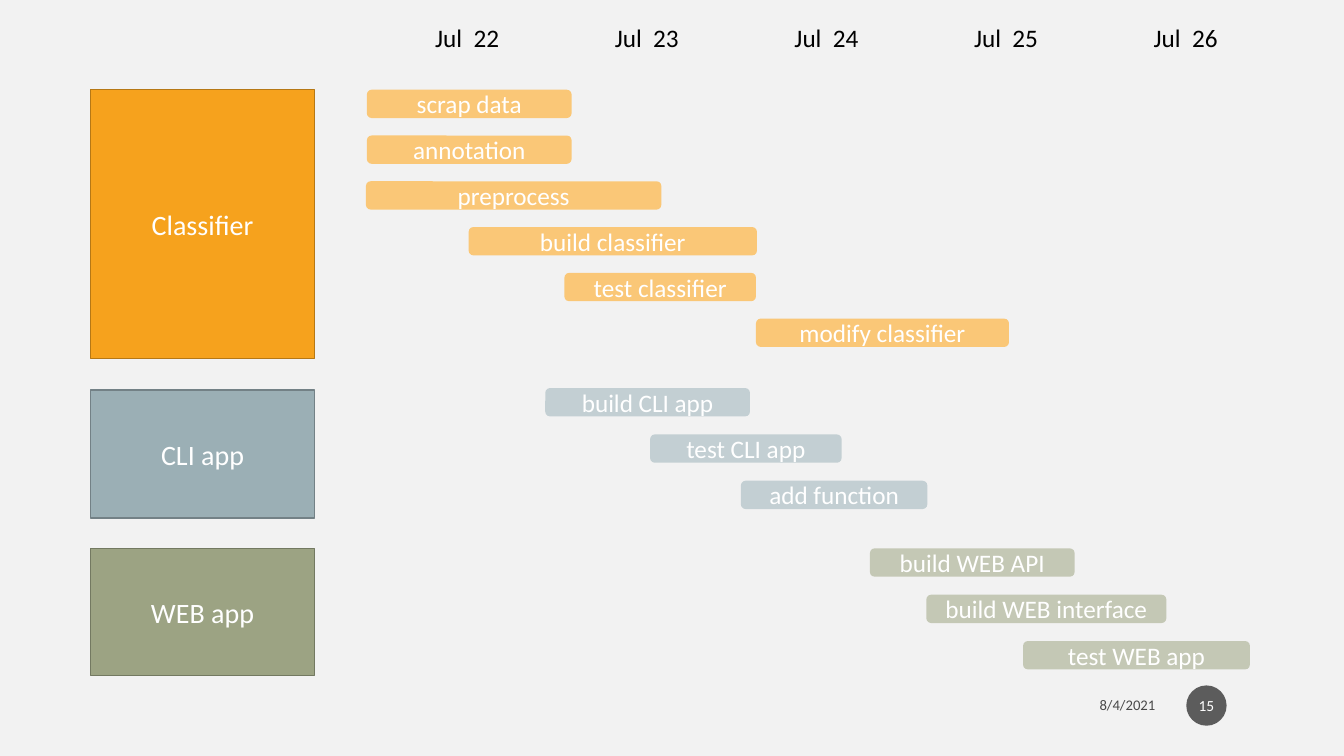
"""Build a Gantt-style project schedule slide."""
from dataclasses import dataclass

from lxml.etree import SubElement
from pptx import Presentation
from pptx.dml.color import RGBColor
from pptx.enum.shapes import MSO_SHAPE as Shape
from pptx.enum.text import MSO_ANCHOR as Anchor, PP_ALIGN as Align
from pptx.oxml.ns import qn
from pptx.util import Pt


@dataclass(frozen=True)
class Theme:
    """Colours, font and type sizes of the schedule."""
    font: str = "Calibri"
    background: str = "F2F2F2"
    ink: str = "000000"
    light: str = "FFFFFF"
    badge: str = "1D1D1D"
    footer_opacity: int = 70
    stage_size: float = 20
    task_size: float = 18
    number_size: float = 11
    date_size: float = 10.5


@dataclass(frozen=True)
class Stage:
    """A project stage with its panel, colours and task bars."""
    name: str
    top: float
    height: float
    fill: str
    line: str
    bar_fill: str
    bar_top: float
    bar_step: float
    tasks: tuple


DAYS = range(22, 27)
DAY_LEFT, DAY_STEP = 303.8, 128.3
PANEL_LEFT, PANEL_WIDTH = 64.8, 159.8
BAR_HEIGHT = 20.2
STAGES = (
    Stage("Classifier", 64.1, 192.2, "F6A21D", "B67815", "FAC777", 64.1, 32.7, (
        ("scrap data", 262.1, 146.2),
        ("annotation", 262.1, 146.2),
        ("preprocess", 261.4, 211),
        ("build classifier", 334.8, 205.9),
        ("test classifier", 403.2, 136.8),
        ("modify classifier", 540, 180.7),
    )),
    Stage("CLI app", 278.6, 91.4, "9BAFB5", "738186", "C3CFD3", 277.2, 33.1, (
        ("build CLI app", 389.5, 146.2),
        ("test CLI app", 464.4, 136.8),
        ("add function", 529.2, 133.2),
    )),
    Stage("WEB app", 391.7, 90.7, "9CA383", "737961", "C4C8B5", 391.7, 33.1, (
        ("build WEB API", 621.4, 146.2),
        ("build WEB interface", 661.7, 171.4),
        ("test WEB app", 730.8, 162),
    )),
)


def paint(fill, color, opacity=100):
    """Set a solid fill, with partial opacity where asked."""
    fill.solid()
    fill.fore_color.rgb = RGBColor.from_string(color)
    if opacity < 100:
        tone = fill._xPr.find(qn("a:solidFill"))[0]
        SubElement(tone, qn("a:alpha"), val=str(opacity * 1000))


def write(box, text, *, font, size, color, align=Align.CENTER,
          anchor=Anchor.MIDDLE, wrap=True, opacity=100):
    """Put one formatted line of text in a shape."""
    frame = box.text_frame
    frame.word_wrap = wrap
    frame.vertical_anchor = anchor
    para = frame.paragraphs[0]
    para.alignment = align
    span = para.add_run()
    span.text = text
    span.font.name = font
    span.font.size = Pt(size)
    paint(span.font.fill, color, opacity)


class ScheduleSlide:
    """Draws schedule elements on one slide in one theme."""

    def __init__(self, slide, theme):
        """Keep the slide and theme, and set the background."""
        self.slide = slide
        self.theme = theme
        paint(slide.background.fill, theme.background)

    def shape(self, kind, left, top, width, height, fill, line=None, opacity=100):
        """Add a flat filled shape."""
        box = self.slide.shapes.add_shape(
            kind, Pt(left), Pt(top), Pt(width), Pt(height))
        box.shadow.inherit = False
        paint(box.fill, fill, opacity)
        if line:
            paint(box.line.fill, line)
            box.line.width = Pt(1)
        else:
            box.line.fill.background()
        return box

    def label(self, text, left, top, width, height, **style):
        """Add a text box."""
        box = self.slide.shapes.add_textbox(
            Pt(left), Pt(top), Pt(width), Pt(height))
        write(box, text, font=self.theme.font, color=self.theme.ink, **style)

    def day(self, text, left):
        """Add a date heading."""
        self.label(text, left, 12.2, 61.2, 28.8, size=self.theme.task_size,
                   align=Align.LEFT, anchor=Anchor.TOP, wrap=False)

    def panel(self, stage):
        """Add the panel that names a stage."""
        box = self.shape(Shape.RECTANGLE, PANEL_LEFT, stage.top, PANEL_WIDTH,
                         stage.height, stage.fill, stage.line)
        write(box, stage.name, font=self.theme.font,
              size=self.theme.stage_size, color=self.theme.light)

    def bar(self, text, left, top, width, fill):
        """Add a task bar."""
        box = self.shape(Shape.ROUNDED_RECTANGLE, left, top, width, BAR_HEIGHT, fill)
        write(box, text, font=self.theme.font,
              size=self.theme.task_size, color=self.theme.light)

    def footer(self, date, number):
        """Add the date and the slide number badge."""
        theme = self.theme
        self.label(date, 615.6, 491, 216.7, 25.2, size=theme.date_size,
                   align=Align.RIGHT, opacity=theme.footer_opacity)
        badge = self.shape(Shape.OVAL, 847.4, 489.6, 28.8, 28.8, theme.badge,
                           opacity=theme.footer_opacity)
        badge.text_frame.margin_left = badge.text_frame.margin_right = Pt(1.4)
        write(badge, number, font=theme.font, size=theme.number_size,
              color=theme.light)


def main():
    """Build and save the deck."""
    deck = Presentation()
    deck.slide_width, deck.slide_height = Pt(960), Pt(540)
    page = ScheduleSlide(deck.slides.add_slide(deck.slide_layouts[6]), Theme())
    page.footer("8/4/2021", "15")
    for column, day in enumerate(DAYS):
        page.day(f"Jul  {day}", DAY_LEFT + column * DAY_STEP)
    for stage in STAGES:
        page.panel(stage)
        for row, (task, left, width) in enumerate(stage.tasks):
            page.bar(task, left, stage.bar_top + row * stage.bar_step,
                     width, stage.bar_fill)
    deck.save("out.pptx")


if __name__ == "__main__":
    main()
